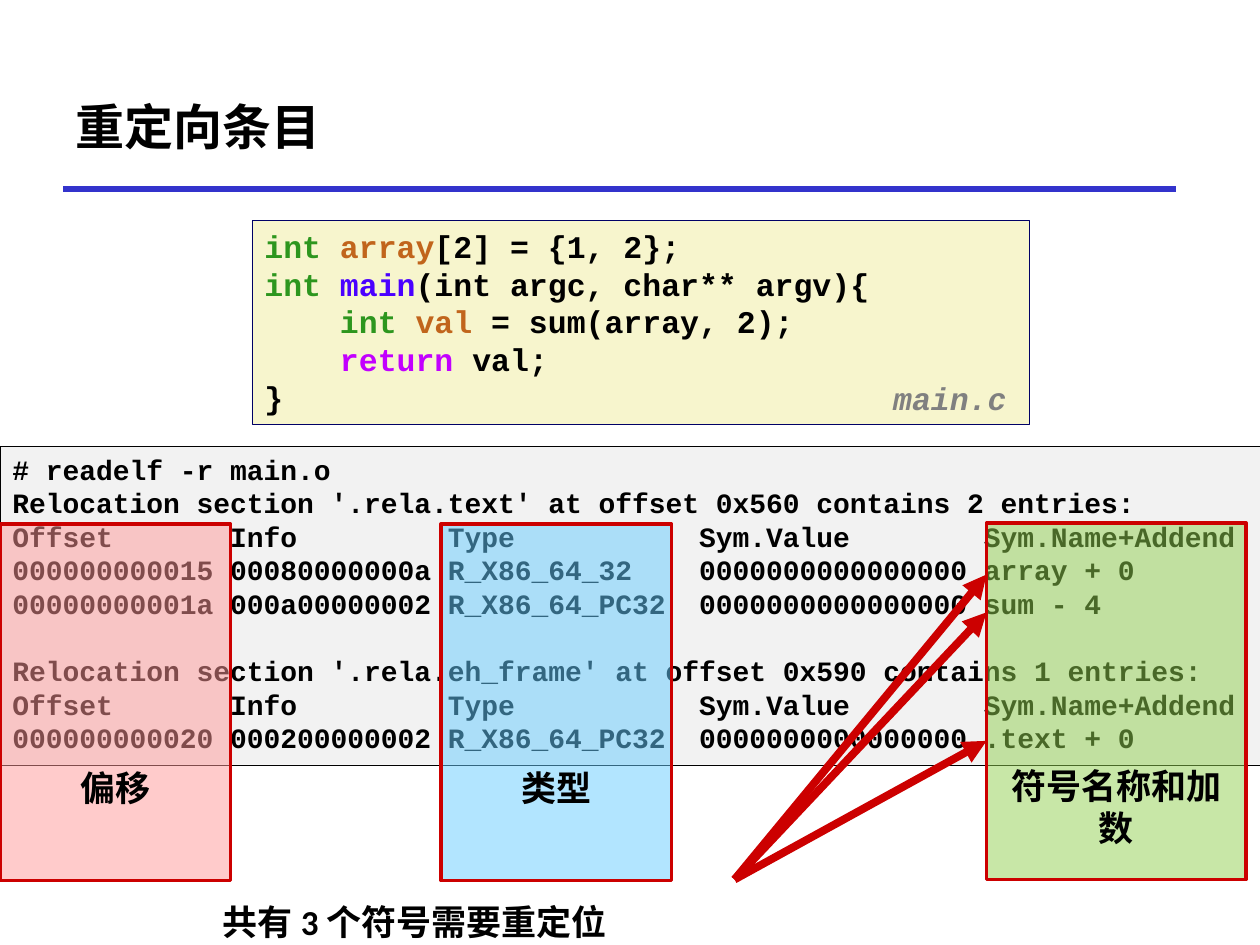
from lxml import etree
from pptx import Presentation
from pptx.dml.color import RGBColor
from pptx.enum import shapes, text
from pptx.oxml import ns
from pptx.util import Inches, Pt

BLACK, RED = "000000", "CC0000"
GREEN, BROWN, BLUE, PURPLE = "2D961E", "C1651C", "4A00FF", "C200FF"
MONO, HAND, SANS = "Courier New", "Comic Neue", "Calibri"
HEAD = "Offset       Info         Type           Sym.Value        Sym.Name+Addend"
DUMP = [
    "# readelf -r main.o",
    "Relocation section '.rela.text' at offset 0x560 contains 2 entries:",
    HEAD,
    "000000000015 00080000000a R_X86_64_32    0000000000000000 array + 0",
    "00000000001a 000a00000002 R_X86_64_PC32  0000000000000000 sum - 4",
    "Relocation section '.rela.eh_frame' at offset 0x590 contains 1 entries:",
    HEAD,
    "000000000020 000200000002 R_X86_64_PC32  0000000000000000 .text + 0",
]
CODE = [
    [("int ", GREEN), ("array", BROWN), ("[2] = {1, 2};", BLACK)],
    [("int ", GREEN), ("main", BLUE), ("(int argc, char** argv){", BLACK)],
    [("    int ", GREEN), ("val", BROWN), (" = sum(array, 2);", BLACK)],
    [("    return", PURPLE), (" val;", BLACK)],
    [("}", BLACK)],
]


def rgb(code):
    return RGBColor.from_string(code)


def sub(node, tag, **attrs):
    return etree.SubElement(node, ns.qn(tag), **attrs)


def write(frame, lines, font, size, align=text.PP_ALIGN.LEFT, italic=False):
    for i, line in enumerate(lines):
        para = frame.add_paragraph() if i else frame.paragraphs[0]
        para.alignment = align
        for words, color in line:
            run = para.add_run()
            run.text = words
            run.font.name = font
            run.font.size = Pt(size)
            run.font.bold = True
            run.font.italic = italic
            run.font.color.rgb = rgb(color)


def add_box(slide, left, top, width, height, fill, edge, weight):
    box = slide.shapes.add_shape(
        shapes.MSO_SHAPE.RECTANGLE,
        Inches(left), Inches(top), Inches(width), Inches(height))
    box.shadow.inherit = False
    box.fill.solid()
    box.fill.fore_color.rgb = rgb(fill)
    box.line.color.rgb = rgb(edge)
    box.line.width = Pt(weight)
    box.text_frame.word_wrap = True
    box.text_frame.vertical_anchor = text.MSO_ANCHOR.TOP
    return box


def add_band(slide, left, top, width, fill, label):
    band = add_box(slide, left, top, width, 2.83, fill, RED, 2)
    tone = band.fill._xPr.find(".//" + ns.qn("a:srgbClr"))
    sub(tone, "a:alpha", val="50000")
    band.text_frame.margin_top = Inches(1.92)
    write(band.text_frame, [[(label, BLACK)]], HAND, 20, text.PP_ALIGN.CENTER)


def add_line(slide, start, end, color, weight, arrow=False):
    line = slide.shapes.add_connector(
        shapes.MSO_CONNECTOR.STRAIGHT, *map(Inches, start + end))
    line.line.color.rgb = rgb(color)
    line.line.width = Pt(weight)
    if arrow:
        sub(line.line._get_or_add_ln(), "a:tailEnd", type="triangle")
    sub(line._element.spPr, "a:effectLst")


def add_note(slide, left, top, width, height, words, font, size, color, wrap, italic=False):
    note = slide.shapes.add_textbox(
        Inches(left), Inches(top), Inches(width), Inches(height))
    note.text_frame.word_wrap = wrap
    write(note.text_frame, [[(words, color)]], font, size, italic=italic)
    return note


def add_title(slide, words):
    title = slide.shapes.title
    title.left, title.top = Inches(0.5), Inches(0.5)
    title.width, title.height = Inches(8.83), Inches(1)
    title.text_frame.vertical_anchor = text.MSO_ANCHOR.MIDDLE
    write(title.text_frame, [[(words, BLACK)]], HAND, 28)


def main():
    deck = Presentation()
    deck.slide_width, deck.slide_height = Inches(10), Inches(7.5)
    slide = deck.slides.add_slide(deck.slide_layouts[5])
    add_line(slide, (0.5, 1.5), (9.33, 1.5), "3333CC", 3)
    add_title(slide, "重定向条目")

    dump = add_box(slide, 0, 3.54, 10, 2.53, "F2F2F2", BLACK, 0.25)
    write(dump.text_frame, [[(line, BLACK)] for line in DUMP], MONO, 16)
    dump.text_frame.paragraphs[5].space_before = Pt(19.2)

    code = add_box(slide, 2, 1.75, 6.17, 1.62, "F7F5CD", "000066", 0.25)
    write(code.text_frame, CODE, MONO, 18)
    name = add_note(slide, 6.99, 2.98, 1.17, 0.39, "main.c", MONO, 18, "808080", False, True)
    name.text_frame.paragraphs[0].line_spacing = 0.94

    for left, top, width, fill, label in [
        (3.5, 4.16, 1.83, "66CCFF", "类型"),
        (0, 4.16, 1.83, "FF9999", "偏移"),
        (7.83, 4.15, 2.06, "92D050", "符号名称和加数"),
    ]:
        add_band(slide, left, top, width, fill, label)

    for y in (4.56, 4.86, 5.88):
        add_line(slide, (5.83, 6.98), (7.83, y), RED, 4.5, True)
    add_note(slide, 1.67, 7.1, 7.83, 0.44, "共有 3 个符号需要重定位", SANS, 20, BLACK, True)
    deck.save("out.pptx")


if __name__ == "__main__":
    main()
